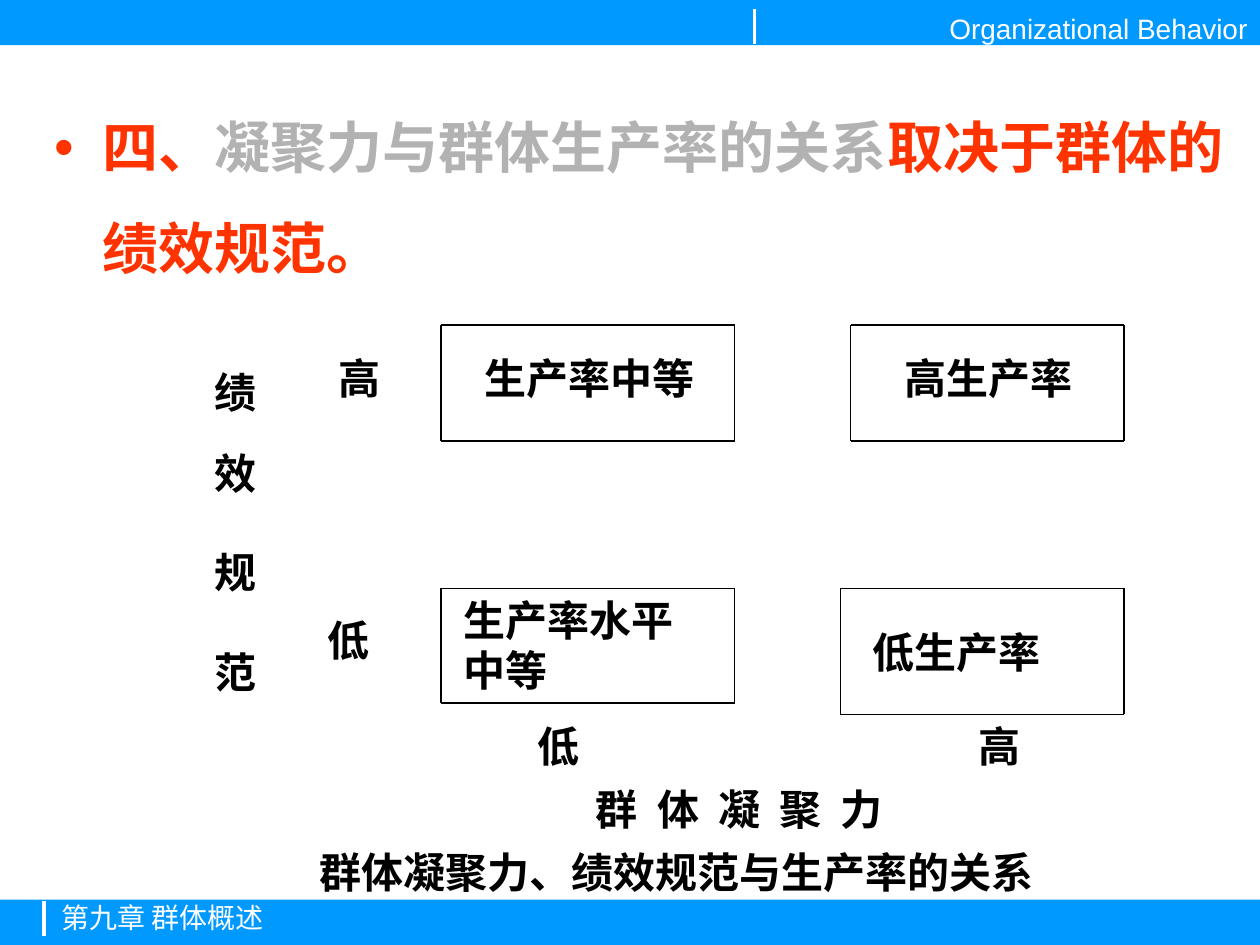
"""Builds a slide on group cohesion, performance norms and productivity."""
from dataclasses import dataclass
from itertools import pairwise

from lxml import etree
from pptx import Presentation
from pptx.dml.color import RGBColor
from pptx.enum import shapes, text
from pptx.oxml import ns
from pptx.util import Inches, Pt


@dataclass(frozen=True)
class Theme:
    blue: str = "0099FF"
    white: str = "FFFFFF"
    black: str = "000000"
    red: str = "FF3300"
    grey: str = "B2B2B2"
    sans: str = "Arial"
    serif: str = "Times New Roman"
    heading: int = 32
    label: int = 24
    band: int = 16


THEME = Theme()
INSETS = (0.1, 0.05, 0.1, 0.05)

HEADING = [
    ("四、", THEME.red),
    ("凝聚力与群体生产率的关系", THEME.grey),
    ("取决于群体的绩效规范。", THEME.red),
]
BANDS = [
    ("Organizational Behavior", 0, (0.1, 0.14, 0.1, 0.05), text.PP_ALIGN.RIGHT, (5.99, 0.07)),
    ("第九章 群体概述", 7.14, (0.49, 0.01, 0.1, 0.09), text.PP_ALIGN.LEFT, (0.35, 7.15)),
]
OUTCOMES = [
    ("生产率中等", (3.75, 2.75, 2.1, 0.5), (3.5, 2.58, 5.83, 3.5)),
    ("高生产率", (7.08, 2.75, 1.68, 0.5), (6.75, 2.58, 8.92, 3.5)),
    ("生产率水平中等", (3.58, 4.67, 2.1, 0.9), (3.5, 4.67, 5.83, 5.58)),
    ("低生产率", (6.83, 4.92, 2.02, 0.5), (6.67, 4.67, 8.92, 5.67)),
]
LEVELS = [("高", 2.59, 2.75), ("低", 2.5, 4.83), ("低", 4.17, 5.67), ("高", 7.67, 5.67)]
NORM_AXIS = [("绩", 22), ("效", 33), ("规", 33), ("范", 0)]
COHESION_AXIS = [("群体凝聚", 11), ("力", 0)]
CAPTION = "群体凝聚力、绩效规范与生产率的关系"


def add_run(paragraph, words, size, color, font, bold=True, spacing=0):
    run = paragraph.add_run()
    run.text = words
    run.font.size = Pt(size)
    run.font.bold = bold
    run.font.name = font
    run.font.color.rgb = RGBColor.from_string(color)
    if spacing:
        run.font._element.set("spc", str(spacing * 100))


def set_frame(frame, insets, anchor=text.MSO_ANCHOR.TOP):
    frame.word_wrap = True
    frame.auto_size = text.MSO_AUTO_SIZE.NONE
    frame.vertical_anchor = anchor
    sides = ("margin_left", "margin_top", "margin_right", "margin_bottom")
    for side, inset in zip(sides, insets):
        setattr(frame, side, Inches(inset))


def add_line(slide, start, end, color, width):
    line = slide.shapes.add_connector(
        shapes.MSO_CONNECTOR.STRAIGHT, *map(Inches, (*start, *end)))
    line.line.color.rgb = RGBColor.from_string(color)
    line.line.width = Pt(width)
    etree.SubElement(line._element.spPr, ns.qn("a:effectLst"))


def add_border(slide, left, top, right, bottom):
    corners = [(left, top), (right, top), (right, bottom), (left, bottom), (left, top)]
    for ends in pairwise(corners):
        add_line(slide, *map(tuple, sorted(ends)), THEME.black, 1)


def add_label(slide, place, runs, insets=INSETS):
    frame = slide.shapes.add_textbox(*map(Inches, place)).text_frame
    set_frame(frame, insets)
    for words, spacing in runs:
        add_run(frame.paragraphs[0], words, THEME.label, THEME.black, THEME.serif, spacing=spacing)
    return frame


def add_band(slide, words, top, insets, align, tick):
    band = slide.shapes.add_shape(
        shapes.MSO_SHAPE.RECTANGLE, 0, Inches(top), Inches(10), Inches(0.36))
    band.shadow.inherit = False
    band.fill.solid()
    band.fill.fore_color.rgb = RGBColor.from_string(THEME.blue)
    band.line.fill.background()
    set_frame(band.text_frame, insets, text.MSO_ANCHOR.MIDDLE)
    paragraph = band.text_frame.paragraphs[0]
    paragraph.alignment = align
    add_run(paragraph, words, THEME.band, THEME.white, THEME.sans, bold=False)
    x, y = tick
    add_line(slide, (x, y + 0.28), (x, y), THEME.white, 2)


def fill_heading(title):
    title.left, title.top, title.width, title.height = map(Inches, (0.33, 0.58, 9.67, 6.73))
    set_frame(title.text_frame, INSETS)
    paragraph = title.text_frame.paragraphs[0]
    paragraph.alignment = text.PP_ALIGN.LEFT
    paragraph.line_spacing = 1.5
    paragraph.space_before = Pt(0)
    properties = paragraph._p.get_or_add_pPr()
    properties.set("marL", str(Inches(0.38)))
    properties.set("indent", str(Inches(-0.38)))
    bullet_color = etree.SubElement(properties, ns.qn("a:buClr"))
    etree.SubElement(bullet_color, ns.qn("a:srgbClr"), val=THEME.red)
    etree.SubElement(properties, ns.qn("a:buFont"), typeface=THEME.sans)
    etree.SubElement(properties, ns.qn("a:buChar"), char="•")
    for words, color in HEADING:
        add_run(paragraph, words, THEME.heading, color, THEME.sans)


def main():
    deck = Presentation()
    deck.slide_width, deck.slide_height = Inches(10), Inches(7.5)
    slide = deck.slides.add_slide(deck.slide_layouts[5])
    fill_heading(slide.shapes.title)
    for band in BANDS:
        add_band(slide, *band)
    norm_axis = add_label(slide, (1.51, 2.62, 0.6, 3.13), NORM_AXIS, (0.05, 0.33, 0.05, 0.19))
    norm_axis._txBody.bodyPr.set("vert", "eaVert")
    for words, left, top in LEVELS:
        add_label(slide, (left, top, 0.53, 0.5), [(words, 0)], (0.1, 0.05, 0.05, 0.05))
    add_label(slide, (4.33, 6.17, 3.48, 0.5), COHESION_AXIS, (0.4, 0.05, 0.1, 0.05))
    for words, place, border in OUTCOMES:
        add_border(slide, *border)
        add_label(slide, place, [(words, 0)])
    add_label(slide, (1.83, 6.67, 7.27, 0.5), [(CAPTION, 0)], (0.71, 0.05, 0.1, 0.05))
    deck.save("out.pptx")


if __name__ == "__main__":
    main()
